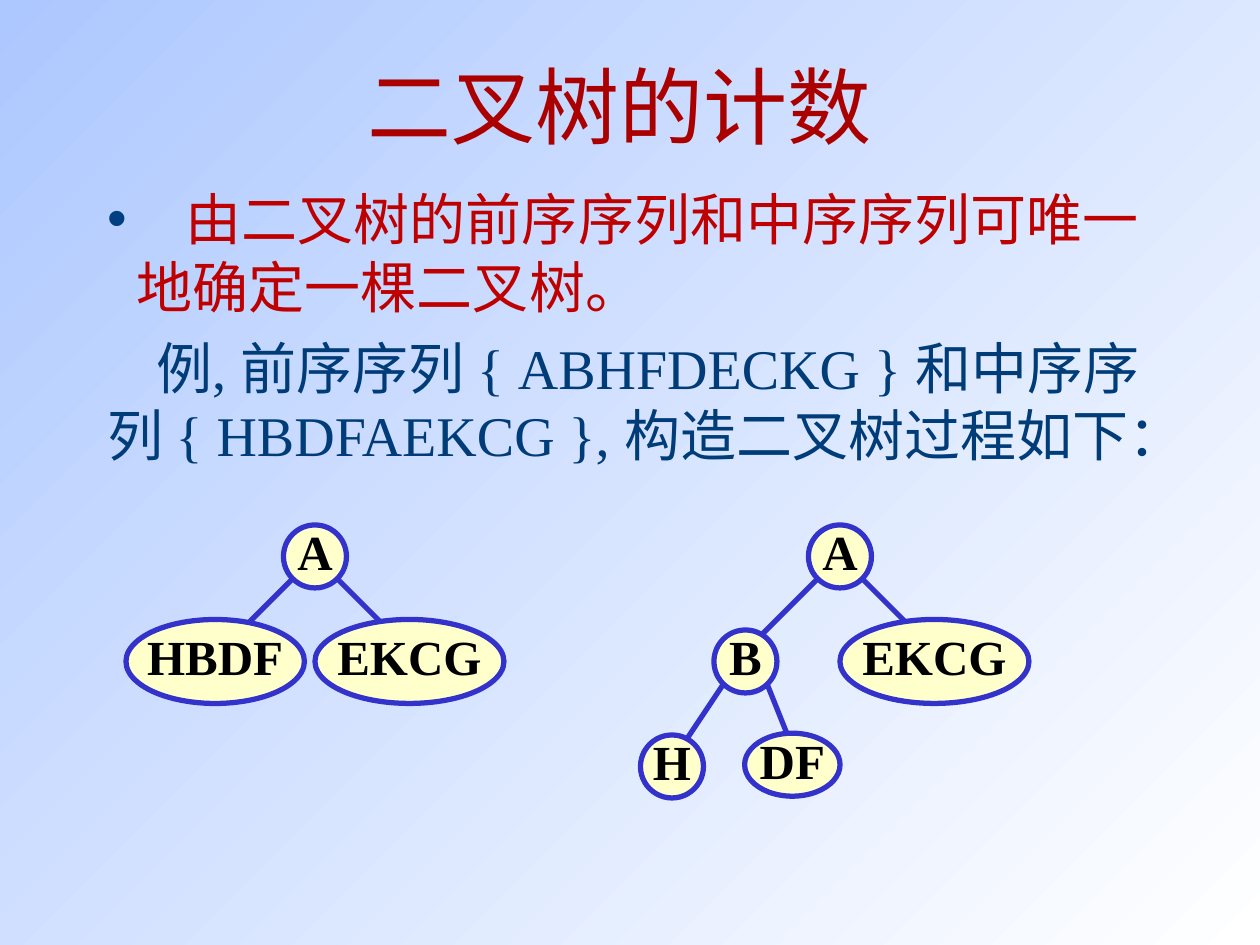
from lxml import etree
from pptx import Presentation
from pptx.dml.color import RGBColor
from pptx.enum import shapes, text
from pptx.oxml import ns
from pptx.util import Pt

SKY = RGBColor(0xAD, 0xC8, 0xFF)
WHITE = RGBColor(0xFF, 0xFF, 0xFF)
RED = RGBColor(0xAA, 0x00, 0x00)
ROSE = RGBColor(0xBE, 0x00, 0x00)
NAVY = RGBColor(0x00, 0x3C, 0x78)
CREAM = RGBColor(0xFF, 0xFF, 0xCC)
BLUE = RGBColor(0x33, 0x33, 0xCC)
BLACK = RGBColor(0x00, 0x00, 0x00)
FACE = "Times New Roman"

TITLE = "二叉树的计数"
RULE = "由二叉树的前序序列和中序序列可唯一地确定一棵二叉树。"
CASE = "例, 前序序列 { ABHFDECKG } 和中序序列 { HBDFAEKCG }, 构造二叉树过程如下："
HANG, LEAD = 17, 28

ROOT = ("A", 162, 300, 36, 36)
RIGHT = ("EKCG", 180, 354, 108, 48)
ARMS = [(168, 330, 132, 366), (192, 330, 228, 366)]
TREES = [
    (0, [ROOT, ("HBDF", 72, 354, 102, 48), RIGHT], ARMS),
    (300, [ROOT, RIGHT, ("B", 108, 360, 36, 36),
           ("H", 66, 420, 36, 36), ("DF", 125.5, 419, 54.5, 36)],
     ARMS + [(114, 390, 90, 426), (138, 390, 150, 420)]),
]


def add_run(para, words, size, color, bold=False):
    run = para.add_run()
    run.text = words
    font = run.font
    font.name, font.size, font.bold = FACE, Pt(size), bold
    font.color.rgb = color


def add_sub(node, tag, **attrs):
    return etree.SubElement(node, ns.qn(tag), **attrs)


def place(shape, left, top, width, height):
    shape.left, shape.top = Pt(left), Pt(top)
    shape.width, shape.height = Pt(width), Pt(height)
    frame = shape.text_frame
    frame.auto_size = text.MSO_AUTO_SIZE.NONE
    frame.word_wrap = True
    return frame


def set_indent(para, margin, first):
    props = para._p.get_or_add_pPr()
    props.set("marL", str(Pt(margin)))
    props.set("indent", str(Pt(first)))
    return props


def add_edge(slide, *ends):
    edge = slide.shapes.add_connector(
        shapes.MSO_CONNECTOR.STRAIGHT, *[Pt(end) for end in ends])
    edge.line.color.rgb = BLUE
    edge.line.width = Pt(3)
    add_sub(edge._element.spPr, "a:effectLst")


def add_node(slide, label, *box):
    node = slide.shapes.add_shape(
        shapes.MSO_SHAPE.OVAL, *[Pt(side) for side in box])
    node.shadow.inherit = False
    node.fill.solid()
    node.fill.fore_color.rgb = CREAM
    node.line.color.rgb = BLUE
    node.line.width = Pt(3)
    frame = node.text_frame
    frame.word_wrap = False
    frame.vertical_anchor = text.MSO_ANCHOR.MIDDLE
    frame.margin_left = frame.margin_right = frame.margin_top = 0
    frame.margin_bottom = Pt(6)
    para = frame.paragraphs[0]
    para.alignment = text.PP_ALIGN.CENTER
    add_run(para, label, 28, BLACK, True)


def main():
    deck = Presentation()
    deck.slide_width, deck.slide_height = Pt(720), Pt(540)
    slide = deck.slides.add_slide(deck.slide_layouts[1])
    fill = slide.background.fill
    fill.gradient()
    fill.gradient_angle = 315
    for stop, color in zip(fill.gradient_stops, (SKY, WHITE)):
        stop.color.rgb = color

    head = place(slide.shapes.title, 186, 36, 336, 48)
    head.vertical_anchor = text.MSO_ANCHOR.MIDDLE
    head.paragraphs[0].alignment = text.PP_ALIGN.CENTER
    add_run(head.paragraphs[0], TITLE, 48, RED)

    body = place(slide.placeholders[1], 54, 102, 624, 180)
    rule, case = body.paragraphs[0], body.add_paragraph()
    rule.space_before, case.space_before = Pt(0), Pt(8)
    props = set_indent(rule, HANG, -HANG)
    add_sub(add_sub(props, "a:buClr"), "a:srgbClr", val="004080")
    add_sub(props, "a:buChar", char="•")
    tabs = add_sub(props, "a:tabLst")
    add_sub(tabs, "a:tab", pos=str(Pt(HANG + LEAD)), algn="l")
    add_run(rule, "\t" + RULE, 32, ROSE)
    add_sub(set_indent(case, 0, LEAD), "a:buNone")
    add_run(case, CASE, 32, NAVY)

    for shift, nodes, edges in TREES:
        for x1, y1, x2, y2 in edges:
            add_edge(slide, x1 + shift, y1, x2 + shift, y2)
        for label, left, *rest in nodes:
            add_node(slide, label, left + shift, *rest)
    deck.save("out.pptx")


if __name__ == "__main__":
    main()
